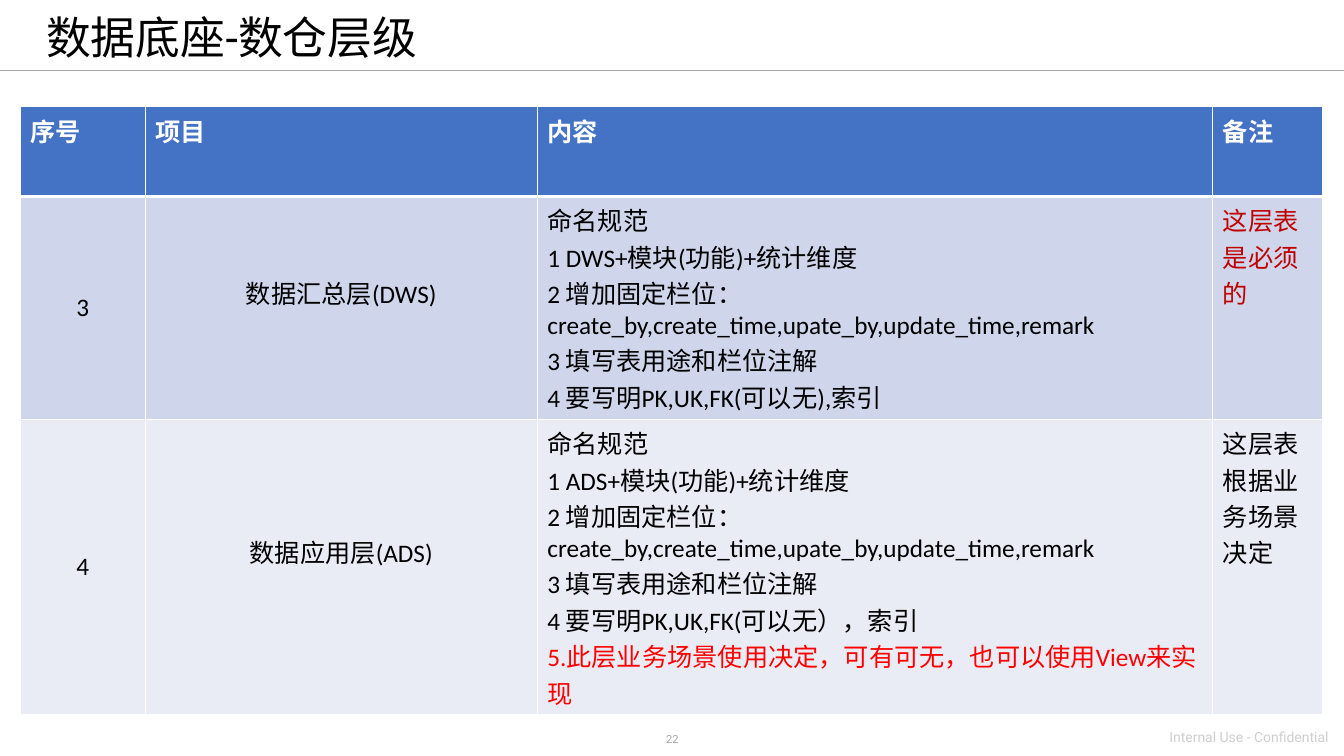
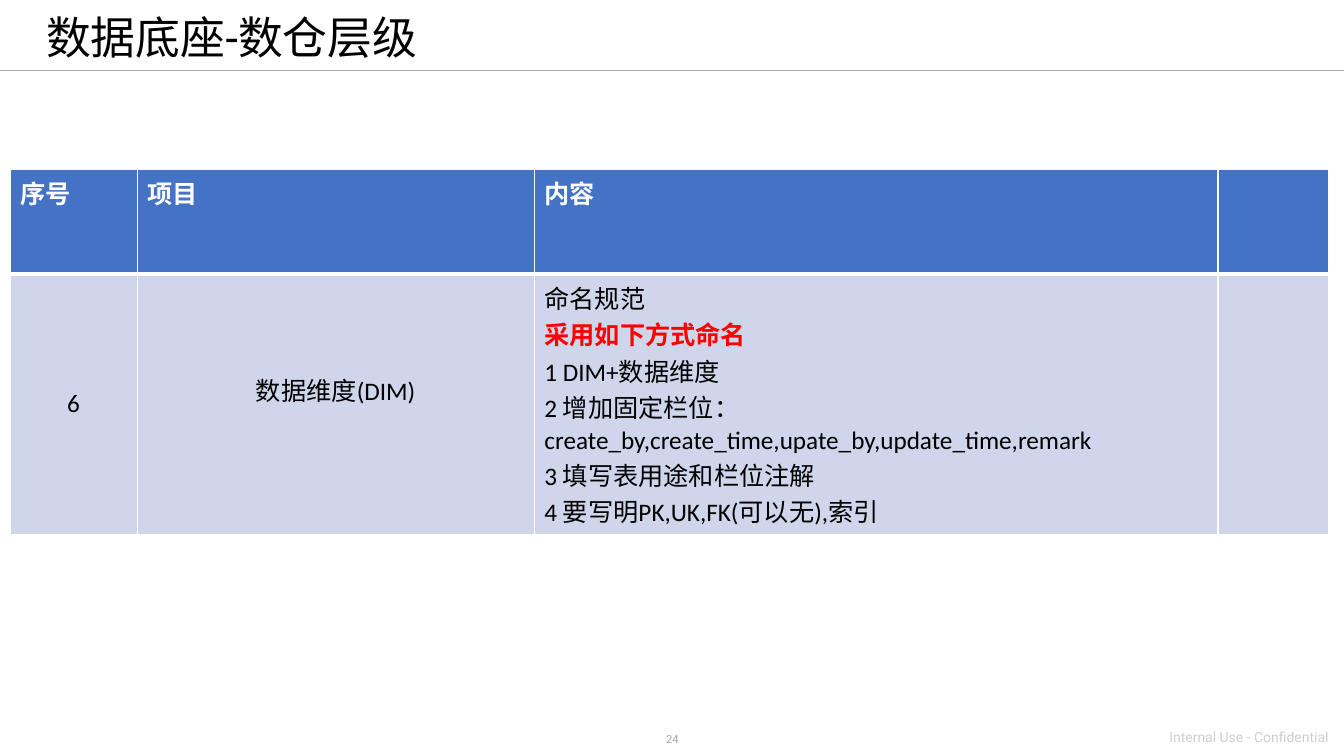
from dataclasses import dataclass

from lxml import etree
from pptx import Presentation
from pptx.dml.color import RGBColor
from pptx.enum.shapes import MSO_CONNECTOR
from pptx.enum.text import MSO_ANCHOR, PP_ALIGN
from pptx.oxml.ns import qn
from pptx.util import Emu, Pt

LEFT, CENTER = PP_ALIGN.LEFT, PP_ALIGN.CENTER
TOP, MIDDLE = MSO_ANCHOR.TOP, MSO_ANCHOR.MIDDLE
STRAIGHT = MSO_CONNECTOR.STRAIGHT

PAGE_WIDTH, PAGE_HEIGHT = 1333, 750
EMU_PER_PX = 9144  # 100 px to the inch
NAME_BOTTOM_INSET = 35  # lifts the layer name above the row's middle


@dataclass(frozen=True)
class Theme:
    black: str = "000000"
    white: str = "FFFFFF"
    red: str = "FF0000"
    dark_red: str = "C00000"
    grey: str = "A6A6A6"
    pale_grey: str = "D0CECE"
    header_fill: str = "4472C4"
    band_fills: tuple = ("CFD5EA", "E9EBF5")
    page_font: str = "Roboto"
    table_font: str = "Calibri"
    title_size: int = 32
    table_size: int = 18
    footer_size: int = 10
    number_size: int = 8
    thin: int = 1
    thick: int = 3


THEME = Theme()


@dataclass(frozen=True)
class Line:
    text: str
    color: str = THEME.black
    bold: bool = False


@dataclass(frozen=True)
class Layer:
    number: str
    name: str
    content: tuple
    remark: tuple = ()


# Content
TITLE = "数据底座-数仓层级"
FOOTER = "Internal Use - Confidential"
HEADINGS = ("序号", "项目", "内容")
NAMING = Line("命名规范")
COMMON_RULES = (
    Line("2 增加固定栏位：create_by,create_time,upate_by,update_time,remark"),
    Line("3 填写表用途和栏位注解"),
)
KEYS = Line("4 要写明PK,UK,FK(可以无),索引")

SUMMARY_LAYER = Layer(
    "3", "数据汇总层(DWS)",
    (NAMING, Line("1 DWS+模块(功能)+统计维度"), *COMMON_RULES, KEYS),
    (Line("这层表是必须的", THEME.dark_red),),
)
APPLICATION_LAYER = Layer(
    "4", "数据应用层(ADS)",
    (NAMING, Line("1 ADS+模块(功能)+统计维度"), *COMMON_RULES,
     Line("4 要写明PK,UK,FK(可以无），索引"),
     Line("5.此层业务场景使用决定，可有可无，也可以使用View来实现", THEME.red)),
    (Line("这层表根据业务场景决定"),),
)
DIMENSION_LAYER = Layer(
    "6", "数据维度(DIM)",
    (NAMING, Line("采用如下方式命名", THEME.red, True),
     Line("1 DIM+数据维度"), *COMMON_RULES, KEYS),
)


def px(value):
    return Emu(value * EMU_PER_PX)


def add_span(para, line, font, size):
    span = para.add_run()
    span.text = line.text
    span.font.name = font
    span.font.size = Pt(size)
    span.font.bold = line.bold
    span.font.color.rgb = RGBColor.from_string(line.color)


def add_text(page, area, line, size, align=LEFT, anchor=TOP, spacing=None):
    box = page.shapes.add_textbox(*map(px, area))
    frame = box.text_frame
    frame.word_wrap = True
    frame.vertical_anchor = anchor
    para = frame.paragraphs[0]
    para.alignment = align
    para.line_spacing = spacing
    add_span(para, line, THEME.page_font, size)


def add_rule(page, y):
    rule = page.shapes.add_connector(STRAIGHT, px(0), px(y), px(PAGE_WIDTH), px(y))
    rule.line.color.rgb = RGBColor.from_string(THEME.grey)
    rule.line.width = Pt(THEME.thin)
    etree.SubElement(rule._element.spPr, qn("a:effectLst"))


def add_page(deck, number):
    """Blank page with the shared rule, footer and title."""
    page = deck.slides.add_slide(deck.slide_layouts[6])
    add_rule(page, 70)
    add_text(page, (579, 722, 176, 24), Line(number, THEME.grey),
             THEME.number_size, CENTER)
    add_text(page, (1150, 718, 184, 27), Line(FOOTER, THEME.pale_grey),
             THEME.footer_size)
    add_text(page, (36, 6, 1053, 68), Line(TITLE), THEME.title_size,
             anchor=MIDDLE, spacing=0.9)
    return page


def set_borders(cell, top, bottom):
    properties = cell._tc.get_or_add_tcPr()
    widths = {"a:lnL": THEME.thin, "a:lnR": THEME.thin,
              "a:lnT": top, "a:lnB": bottom}
    for tag, width in widths.items():
        border = etree.SubElement(properties, qn(tag), w=str(Pt(width)))
        fill = etree.SubElement(border, qn("a:solidFill"))
        etree.SubElement(fill, qn("a:srgbClr"), val=THEME.white)


def fill_cell(cell, lines, fill, align=LEFT, anchor=TOP):
    cell.fill.solid()
    cell.fill.fore_color.rgb = RGBColor.from_string(fill)
    cell.vertical_anchor = anchor
    frame = cell.text_frame
    for index, line in enumerate(lines):
        para = frame.add_paragraph() if index else frame.paragraphs[0]
        para.alignment = align
        add_span(para, line, THEME.table_font, THEME.table_size)


def add_layer_table(page, left, top, columns, heights, headings, layers):
    table = page.shapes.add_table(
        len(heights), len(columns), px(left), px(top),
        px(sum(columns)), px(sum(heights))).table
    table.first_row = table.horz_banding = False
    for column, width in zip(table.columns, columns):
        column.width = px(width)
    for row, height in zip(table.rows, heights):
        row.height = px(height)

    # Borders: a thick line parts the header from the body
    for index, row in enumerate(table.rows):
        for cell in row.cells:
            set_borders(cell, THEME.thick if index == 1 else THEME.thin,
                        THEME.thick if index == 0 else THEME.thin)

    # Header
    for index in range(len(columns)):
        lines = [Line(text, THEME.white, True) for text in headings[index:index + 1]]
        fill_cell(table.cell(0, index), lines, THEME.header_fill)

    # Body
    for index, layer in enumerate(layers):
        fill = THEME.band_fills[index % len(THEME.band_fills)]
        number, name, content, remark = table.rows[index + 1].cells
        fill_cell(number, [Line(layer.number)], fill, CENTER, MIDDLE)
        fill_cell(name, [Line(layer.name)], fill, CENTER, MIDDLE)
        name.margin_bottom = px(NAME_BOTTOM_INSET)
        fill_cell(content, layer.content, fill)
        fill_cell(remark, layer.remark, fill)


def main():
    deck = Presentation()
    deck.slide_width, deck.slide_height = px(PAGE_WIDTH), px(PAGE_HEIGHT)

    # Summary and application layers
    add_layer_table(add_page(deck, "22"), 20, 106, (124, 389, 670, 109),
                    (89, 221, 293), (*HEADINGS, "备注"),
                    (SUMMARY_LAYER, APPLICATION_LAYER))

    # Dimension layer
    add_layer_table(add_page(deck, "24"), 10, 168, (126, 394, 678, 110),
                    (104, 258), HEADINGS, (DIMENSION_LAYER,))

    deck.save("out.pptx")


if __name__ == "__main__":
    main()
